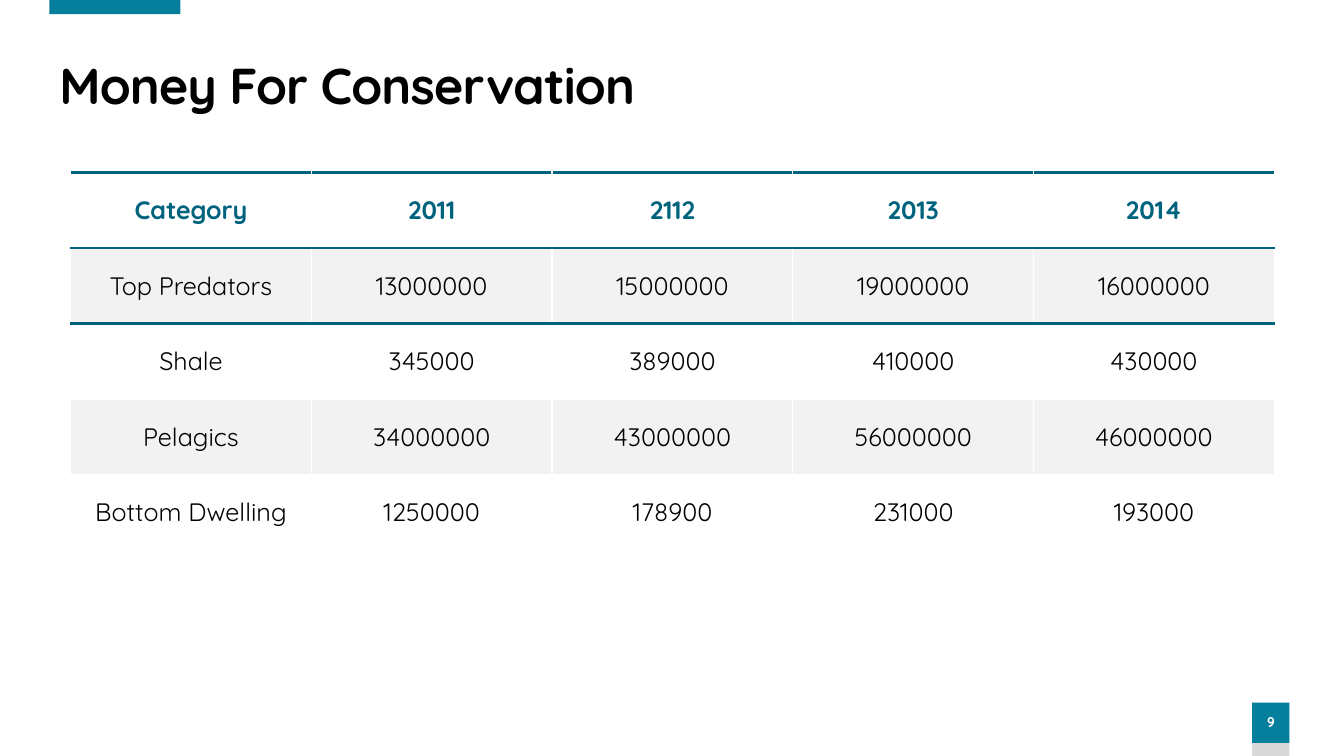
from dataclasses import dataclass

from lxml import etree
from pptx import Presentation
from pptx.dml.color import RGBColor
from pptx.enum.shapes import MSO_SHAPE
from pptx.enum.text import MSO_ANCHOR, PP_ALIGN
from pptx.oxml.ns import qn
from pptx.util import Inches, Pt

RECTANGLE = MSO_SHAPE.RECTANGLE
MIDDLE = MSO_ANCHOR.MIDDLE
CENTER = PP_ALIGN.CENTER
LEFT = PP_ALIGN.LEFT


@dataclass(frozen=True)
class Theme:
    font: str = "Quicksand"
    accent: str = "067F9C"
    heading: str = "00637E"
    ink: str = "000000"
    paper: str = "FFFFFF"
    band: str = "F2F2F2"
    grey: str = "D9D9D9"
    title_size: float = 36
    table_size: float = 18
    number_size: float = 10
    rule_width: float = 2.25
    grid_width: float = 1


THEME = Theme()

FUNDING = [
    ["Category", "2011", "2112", "2013", "2014"],
    ["Top Predators", "13000000", "15000000", "19000000", "16000000"],
    ["Shale", "345000", "389000", "410000", "430000"],
    ["Pelagics", "34000000", "43000000", "56000000", "46000000"],
    ["Bottom Dwelling", "1250000", "178900", "231000", "193000"],
]
RULED_EDGES = {0, 1, 2}


def set_values(target, values):
    for name, value in values.items():
        setattr(target, name, value)


def write(frame, text, size, color, bold=True, align=CENTER, spacing=None):
    """Put one formatted line into a text frame and return its run."""
    para = frame.paragraphs[0]
    set_values(para, {"alignment": align, "line_spacing": spacing})
    span = para.add_run()
    span.text = text
    set_values(span.font, {"name": THEME.font, "size": Pt(size), "bold": bold})
    span.font.color.rgb = RGBColor.from_string(color)
    return span


def add_block(page, box, color):
    block = page.shapes.add_shape(RECTANGLE, *map(Inches, box))
    block.shadow.inherit = False
    block.fill.solid()
    block.fill.fore_color.rgb = RGBColor.from_string(color)
    block.line.fill.background()
    return block


def add_title(page, box, text):
    frame = page.shapes.add_textbox(*map(Inches, box)).text_frame
    set_values(frame, {"word_wrap": True, "vertical_anchor": MIDDLE})
    span = write(frame, text, THEME.title_size, THEME.ink, align=LEFT, spacing=0.9)
    span._r.get_or_add_rPr().set("spc", "-60")


def add_page_number(page, box, number):
    """Place a numbered square above a grey strip that fills the box."""
    left, top, width, height = box
    add_block(page, box, THEME.grey)
    badge = add_block(page, (left, top, width, height - 0.13), THEME.accent)
    frame = badge.text_frame
    set_values(frame, {"word_wrap": True, "vertical_anchor": MIDDLE,
                       "margin_left": 0, "margin_right": 0})
    write(frame, number, THEME.number_size, THEME.paper, spacing=0.9)


def add_border(cell, side, color, width):
    line = etree.SubElement(cell._tc.get_or_add_tcPr(), qn(f"a:ln{side}"),
                            w=str(Pt(width)))
    fill = etree.SubElement(line, qn("a:solidFill"))
    etree.SubElement(fill, qn("a:srgbClr"), val=color)


def format_cell(cell, row):
    """Draw the grid and the banding for a cell of the given row."""
    grid = (THEME.paper, THEME.grid_width)
    rule = (THEME.heading, THEME.rule_width)
    for side in "LR":
        add_border(cell, side, *grid)
    for side, edge in (("T", row), ("B", row + 1)):
        add_border(cell, side, *(rule if edge in RULED_EDGES else grid))
    if row % 2:
        cell.fill.solid()
        cell.fill.fore_color.rgb = RGBColor.from_string(THEME.band)
    else:
        cell.fill.background()
    cell.vertical_anchor = MIDDLE


def add_funding_table(page, box, rows):
    table = page.shapes.add_table(len(rows), len(rows[0]), *map(Inches, box)).table
    for row, values in enumerate(rows):
        header = row == 0
        color = THEME.heading if header else THEME.ink
        for column, value in enumerate(values):
            cell = table.cell(row, column)
            format_cell(cell, row)
            write(cell.text_frame, value, THEME.table_size, color, bold=header)


def build_funding_slide(deck):
    page = deck.slides.add_slide(deck.slide_layouts[6])
    add_page_number(page, (12.42, 6.97, 0.37, 0.53), "9")
    add_block(page, (0.49, 0, 1.3, 0.14), THEME.accent)
    add_title(page, (0.49, 0.55, 12.22, 0.65), "Money For Conservation")
    add_funding_table(page, (0.7, 1.71, 11.94, 3.75), FUNDING)


def main():
    deck = Presentation()
    set_values(deck, {"slide_width": Inches(13.33), "slide_height": Inches(7.5)})
    build_funding_slide(deck)
    deck.save("out.pptx")


if __name__ == "__main__":
    main()
